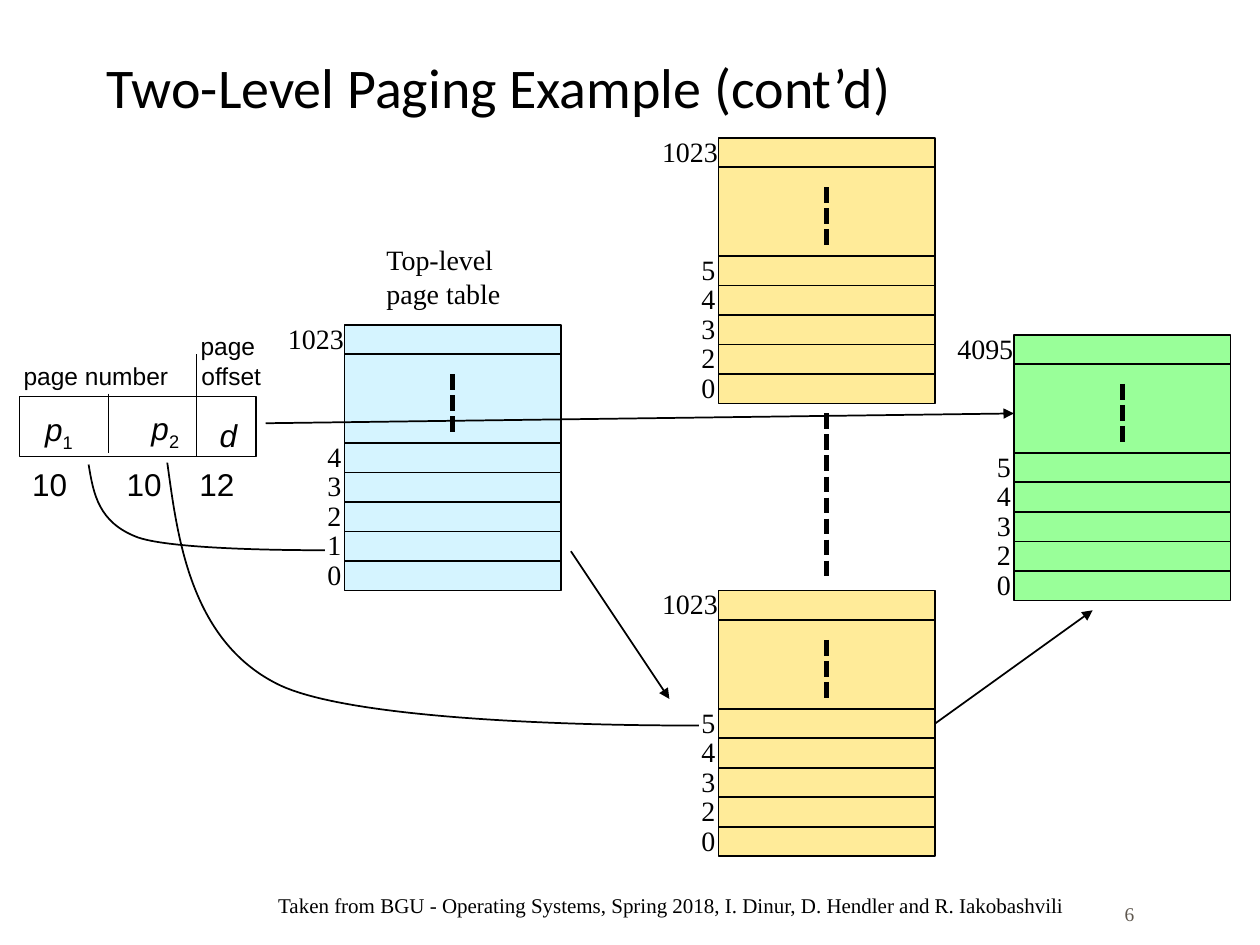
import pptx
import pptx.dml.color
import pptx.enum.dml
import pptx.enum.shapes
import pptx.enum.text
import pptx.oxml.ns
import pptx.util
from lxml import etree

BLACK = pptx.dml.color.RGBColor(0x00, 0x00, 0x00)
WHITE = pptx.dml.color.RGBColor(0xFF, 0xFF, 0xFF)
BLUE = pptx.dml.color.RGBColor(0xD5, 0xF4, 0xFF)
YELLOW = pptx.dml.color.RGBColor(0xFF, 0xEB, 0x99)
GREEN = pptx.dml.color.RGBColor(0x99, 0xFF, 0x99)
GREY = pptx.dml.color.RGBColor(0x5E, 0x57, 0x4E)
SERIF = "Times New Roman"
RECTANGLE = pptx.enum.shapes.MSO_SHAPE.RECTANGLE
CENTER = pptx.enum.text.PP_ALIGN.CENTER
MIDDLE = pptx.enum.text.MSO_ANCHOR.MIDDLE
qn = pptx.oxml.ns.qn

deck = pptx.Presentation()
deck.slide_width = pptx.util.Inches(10)
deck.slide_height = pptx.util.Inches(7.5)
slide = deck.slides.add_slide(deck.slide_layouts[6])

# Square grid of 128 columns by 96 rows; all places below are in its units.
UNIT = deck.slide_width / 128


def add_line(shapes, start, end, width=1, dashed=False, arrow=False):
    points = [round(v * UNIT) for v in (*start, *end)]
    line = shapes.add_connector(pptx.enum.shapes.MSO_CONNECTOR.STRAIGHT, *points)
    line.line.color.rgb = BLACK
    line.line.width = pptx.util.Pt(width)
    if dashed:
        line.line.dash_style = pptx.enum.dml.MSO_LINE.SQUARE_DOT
    if arrow:
        etree.SubElement(line.line._get_or_add_ln(), qn("a:tailEnd"), type="triangle")
    etree.SubElement(line.element.spPr, qn("a:effectLst"))


def add_text(shapes, text, box, size, font=SERIF, color=BLACK, align=None,
             anchor=pptx.enum.text.MSO_ANCHOR.TOP, wrap=True):
    """Add a text box and return its paragraph."""
    frame = shapes.add_textbox(*[round(v * UNIT) for v in box]).text_frame
    frame.word_wrap = wrap
    frame.vertical_anchor = anchor
    frame.text = text
    paragraph = frame.paragraphs[0]
    paragraph.alignment = align
    for run in paragraph.runs:
        run.font.size = pptx.util.Pt(size)
        run.font.name = font
        run.font.color.rgb = color
    return paragraph


add_text(slide.shapes, "Two-Level Paging Example (cont’d)", (9.6, 5.4, 108.8, 7.4), 32,
         "Calibri", anchor=pptx.enum.text.MSO_ANCHOR.BOTTOM)

# Virtual address: p1, p2 and offset d
address = slide.shapes.add_shape(
    RECTANGLE, *[round(v * UNIT) for v in (2, 40.3, 24, 6.1)])
address.shadow.inherit = False
address.fill.solid()
address.fill.fore_color.rgb = WHITE
address.line.color.rgb = BLACK
address.line.width = pptx.util.Pt(0.75)
add_line(slide.shapes, (20, 36), (20, 46.4), 0.75)
add_line(slide.shapes, (11, 40), (11, 46), 0.75)

for heading, box in (("page number", (1.1, 36, 17.3, 4.3)),
                     ("page \voffset", (19.1, 33, 8.8, 7.3))):
    add_text(slide.shapes, heading, box, 14, "Arial", align=CENTER, anchor=MIDDLE, wrap=False)

for letter, index, box in (("p", "1", (3.3, 41, 5.4, 5.6)),
                           ("p", "2", (14.1, 40.9, 5.4, 5.6)),
                           ("d", "", (21, 41.6, 4.4, 5.1))):
    field = add_text(slide.shapes, letter, box, 18, "Arial",
                     align=CENTER, anchor=MIDDLE, wrap=False)
    field.runs[0].font.italic = True
    if index:
        subscript = field.add_run()
        subscript.text = index
        subscript.font.size = pptx.util.Pt(18)
        subscript.font.name = "Arial"
        subscript.font.color.rgb = BLACK
        subscript.font._element.set("baseline", "-25000")

for bits, left in (("10", 2), ("10", 11.6), ("12", 19)):
    add_text(slide.shapes, bits, (left, 46.6, 6.1, 5.1), 18, "Arial",
             align=CENTER, anchor=MIDDLE)

# Page tables: a top row, a gap of three rows, then five numbered rows
ROW, TABLE_WIDTH, TABLE_HEIGHT = 3, 22, 27
add_text(slide.shapes, "Top-level \vpage table", (38, 24, 16, 8.2), 16)
for left, top, color, last, numbers, grouped in (
        (35, 33, BLUE, "1023", "43210", False),
        (73, 14, YELLOW, "1023", "54320", True),
        (73, 60, YELLOW, "1023", "54320", True),
        (103, 34, GREEN, "4095", "54320", False)):
    shapes = slide.shapes.add_group_shape().shapes if grouped else slide.shapes
    table = shapes.add_shape(
        RECTANGLE, *[round(v * UNIT) for v in (left, top, TABLE_WIDTH, TABLE_HEIGHT)])
    table.shadow.inherit = False
    table.fill.solid()
    table.fill.fore_color.rgb = color
    table.line.color.rgb = BLACK
    table.line.width = pptx.util.Pt(1)
    for row in (1, 4, 5, 6, 7, 8):
        y = top + row * ROW
        add_line(shapes, (left, y), (left + TABLE_WIDTH, y))
    middle = left + TABLE_WIDTH / 2
    add_line(shapes, (middle, top + 5), (middle, top + 11), 3, dashed=True)
    add_text(shapes, last, (left - 7, top - 1, 9, 4.7), 16)
    for row, number in enumerate(numbers, start=4):
        add_text(shapes, number, (left - 3, top + row * ROW - 1, 7, 4.7), 16)

# Links between the address, the tables and the page
add_line(slide.shapes, (84, 42), (84, 59), 3, dashed=True)
for start, end in (((58, 56), (68, 71)), ((95, 73.5), (111, 62)), ((27, 43), (103, 42))):
    add_line(slide.shapes, start, end, arrow=True)

for start, *controls in (
        ((9, 47.2), (9.5, 50.2), (10, 53.1), (14, 54.6), (18, 56), (33, 55.9), (33, 55.9)),
        ((17, 47), (18, 54.2), (19.2, 65), (28.2, 69.5), (37.2, 74), (71, 73.7), (71, 73.7))):
    outline = slide.shapes.build_freeform(*[round(v * UNIT) for v in start])
    outline.add_line_segments(
        [(round(x * UNIT), round(y * UNIT)) for x, y in controls], close=False)
    curve = outline.convert_to_shape()
    curve.shadow.inherit = False
    curve.fill.background()
    curve.line.color.rgb = BLACK
    curve.line.width = pptx.util.Pt(1)
    # Every three points become the controls and the end of one Bezier segment.
    segments = list(curve.element.iter(qn("a:lnTo")))
    track = segments[0].getparent()
    for first in range(0, len(segments), 3):
        bezier = etree.SubElement(track, qn("a:cubicBezTo"))
        for segment in segments[first:first + 3]:
            bezier.append(segment[0])
            track.remove(segment)

page_number = add_text(slide.shapes, "6", (113, 91.3, 10.8, 3.8), 11.1, color=GREY,
                       align=pptx.enum.text.PP_ALIGN.JUSTIFY)
page_number.line_spacing = 0.9
add_text(slide.shapes,
         "Taken from BGU - Operating Systems, Spring 2018, I. Dinur, D. Hendler and R. Iakobashvili",
         (27, 90, 86, 6), 12)

deck.save("out.pptx")
